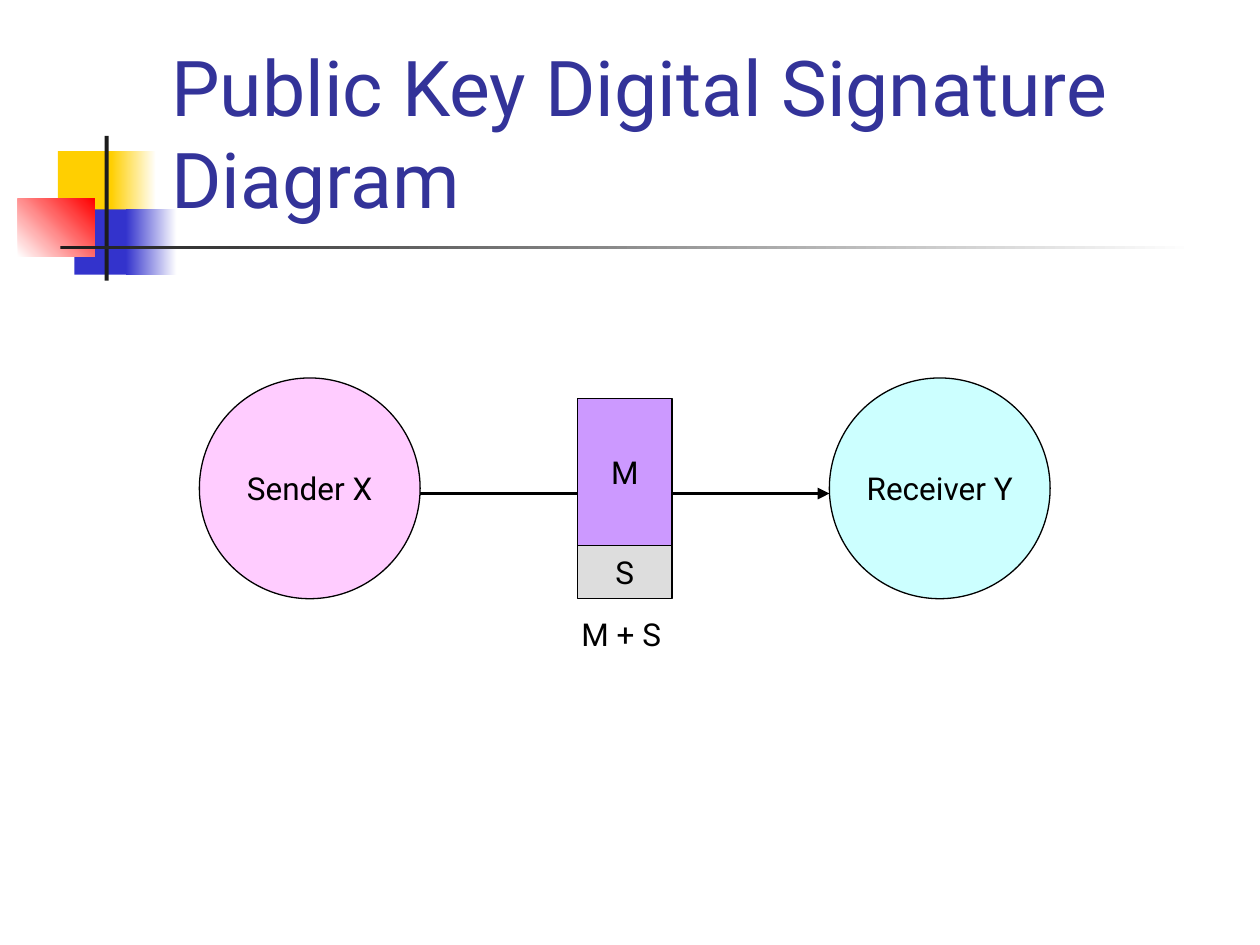
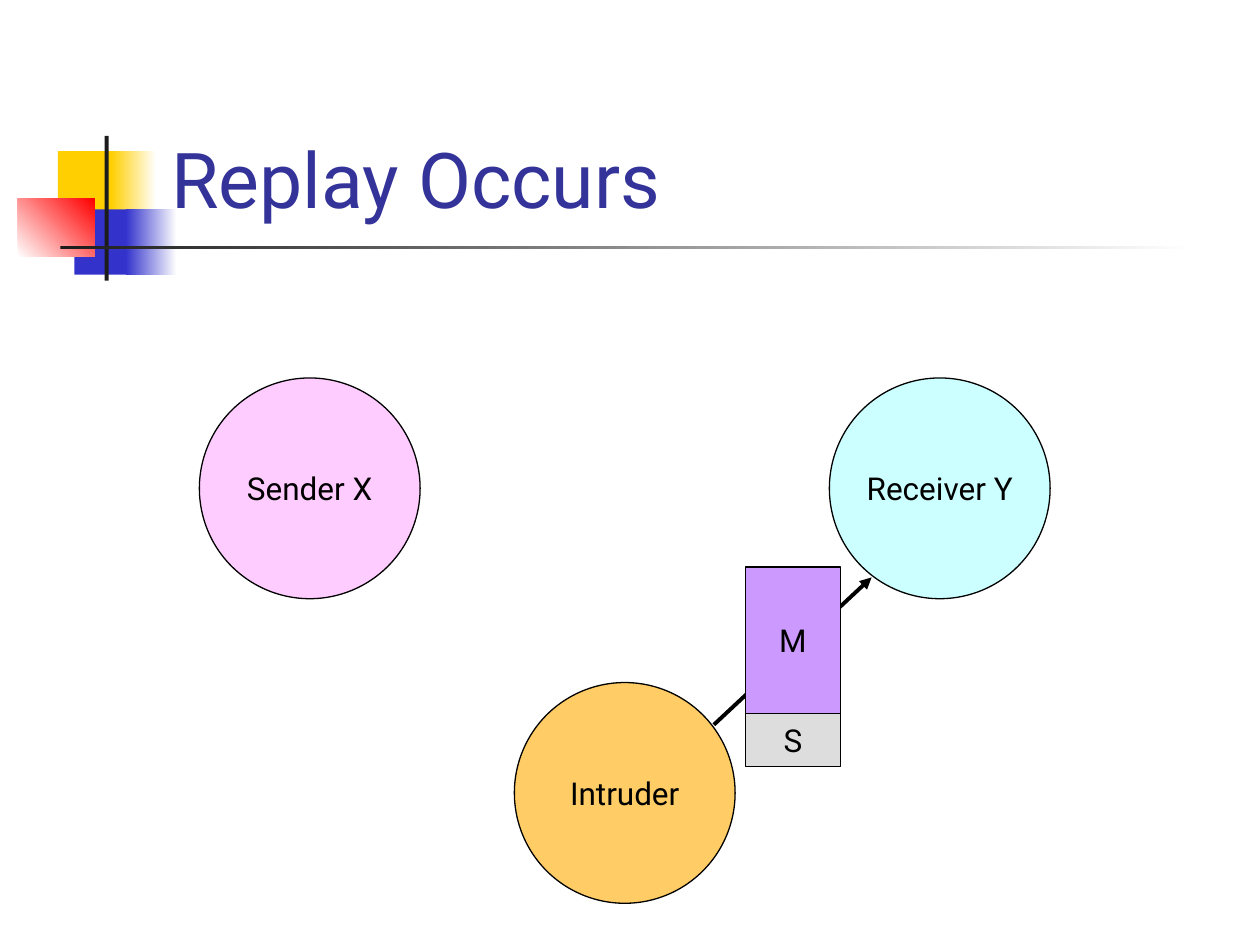
from typing import NamedTuple

from pptx import Presentation
from pptx.dml.color import RGBColor as Rgb
from pptx.enum.shapes import MSO_CONNECTOR as Link, MSO_SHAPE as Kind
from pptx.enum.text import MSO_ANCHOR as Anchor, MSO_AUTO_SIZE as Fit, PP_ALIGN as Align
from pptx.oxml.ns import qn
from pptx.util import Cm, Pt
from lxml.etree import SubElement

# Colours and formats shared by the slides
HUES = {
    "white": "FFFFFF", "black": "000000", "dark": "1C1C1C", "title": "333399",
    "gold": "FFCF01", "blue": "3333CC", "red": "FF0000",
    "pink": "FFCCFF", "aqua": "CCFFFF", "amber": "FFCC66",
    "mauve": "CC99FF", "grey": "DDDDDD",
}
TITLE = {"name": "Roboto", "size": Pt(44)}
LABEL = {"name": "Roboto", "size": Pt(18)}
FRAME = {"word_wrap": False, "vertical_anchor": Anchor.MIDDLE}

# Lengths in centimetres
DISC = 4.45
WIDE, TALL, SHORT = 1.91, 2.96, 1.06


class Block(NamedTuple):
    """A plain or gradient rectangle of the title band."""
    x: float
    y: float
    w: float
    h: float
    hue: str
    fade: str = ""
    angle: int = 0


class Node(NamedTuple):
    """A labelled, outlined shape of the diagram."""
    kind: Kind
    text: str
    hue: str
    x: float
    y: float
    w: float = DISC
    h: float = DISC


class Arrow(NamedTuple):
    x1: float
    y1: float
    x2: float
    y2: float


BAND = [
    Block(1.17, 3.05, 1.22, 1.32, "gold"),
    Block(2.24, 3.05, 0.91, 1.32, "gold", "white"),
    Block(1.5, 4.22, 1.17, 1.32, "blue"),
    Block(2.54, 4.22, 1.02, 1.32, "blue", "white"),
    Block(0.36, 4.01, 1.55, 1.17, "white", "red", 45),
    Block(2.11, 2.74, 0.08, 2.92, "dark"),
    Block(1.22, 4.95, 22.86, 0.08, "dark", "white"),
]
SENDER = Node(Kind.OVAL, "Sender X", "pink", 4.02, 7.62)
TAKER = Node(Kind.OVAL, "Receiver Y", "aqua", 16.72, 7.62)
THIEF = Node(Kind.OVAL, "Intruder", "amber", 10.37, 13.76)


def rgb(hue: str) -> Rgb:
    return Rgb.from_string(HUES[hue])


def style(target, values: dict) -> None:
    for key, value in values.items():
        setattr(target, key, value)


def write(frame, text: str, font: dict, hue: str, align: Align) -> None:
    frame.text = text
    para = frame.paragraphs[0]
    para.alignment = align
    style(para.font, font)
    para.font.color.rgb = rgb(hue)


def add_block(slide, block: Block):
    shape = slide.shapes.add_shape(Kind.RECTANGLE, *map(Cm, block[:4]))
    shape.shadow.inherit = False
    shape.line.fill.background()
    if block.fade:
        shape.fill.gradient()
        shape.fill.gradient_angle = block.angle
        for stop, hue, spot in zip(shape.fill.gradient_stops,
                                   (block.hue, block.fade), (0, 1)):
            stop.color.rgb = rgb(hue)
            stop.position = spot
    else:
        shape.fill.solid()
        shape.fill.fore_color.rgb = rgb(block.hue)
    return shape


def add_band(slide, layout) -> None:
    """Draw the band and move it behind the layout's placeholders."""
    tree = layout.shapes.element
    for place, block in enumerate(BAND):
        item = add_block(slide, block).element
        item.nvSpPr.cNvPr.id = 20 + place
        tree.insert(2 + place, item)


def add_node(slide, node: Node) -> None:
    shape = slide.shapes.add_shape(node.kind, *map(Cm, node[3:]))
    shape.shadow.inherit = False
    shape.fill.solid()
    shape.fill.fore_color.rgb = rgb(node.hue)
    shape.line.color.rgb = rgb("black")
    shape.line.width = Pt(0.75)
    style(shape.text_frame, FRAME)
    write(shape.text_frame, node.text, LABEL, "black", Align.CENTER)


def add_stack(slide, x: float, y: float) -> None:
    """Message M with its signature S below."""
    add_node(slide, Node(Kind.RECTANGLE, "M", "mauve", x, y, WIDE, TALL))
    add_node(slide, Node(Kind.RECTANGLE, "S", "grey", x, y + TALL, WIDE, SHORT))


def add_arrow(slide, arrow: Arrow) -> None:
    line = slide.shapes.add_connector(Link.STRAIGHT, *map(Cm, arrow))
    line.line.color.rgb = rgb("black")
    line.line.width = Pt(2.25)
    SubElement(line.line._get_or_add_ln(), qn("a:tailEnd"), type="triangle")
    SubElement(line.element.spPr, qn("a:effectLst"))


def add_title(slide, text: str) -> None:
    title = slide.shapes.title
    style(title, {"left": Cm(3.2), "top": Cm(0.58),
                  "width": Cm(21.64), "height": Cm(4.06)})
    style(title.text_frame, {"vertical_anchor": Anchor.BOTTOM,
                             "word_wrap": True, "auto_size": Fit.NONE})
    write(title.text_frame, text, TITLE, "title", Align.LEFT)


def add_note(slide, text: str, x: float, y: float) -> None:
    box = slide.shapes.add_textbox(Cm(x), Cm(y), Cm(2.12), Cm(1.02))
    box.text_frame.word_wrap = False
    write(box.text_frame, text, LABEL, "black", Align.LEFT)


def main() -> None:
    deck = Presentation()
    style(deck, {"slide_width": Cm(25.4), "slide_height": Cm(19.05)})
    layout = deck.slide_layouts[5]

    # Signed message sent
    slide = deck.slides.add_slide(layout)
    add_band(slide, layout)
    add_title(slide, "Public Key Digital Signature Diagram")
    add_arrow(slide, Arrow(SENDER.x + DISC, 9.95, TAKER.x, 9.95))
    for node in (SENDER, TAKER):
        add_node(slide, node)
    add_stack(slide, 11.64, 8.04)
    add_note(slide, "M + S", 11.47, 12.28)

    # Signed message replayed
    slide = deck.slides.add_slide(layout)
    add_title(slide, "Replay Occurs")
    for node in (SENDER, TAKER, THIEF):
        add_node(slide, node)
    add_arrow(slide, Arrow(14.39, 14.61, 17.57, 11.64))
    add_stack(slide, 15.03, 11.43)

    deck.save("out.pptx")


if __name__ == "__main__":
    main()
